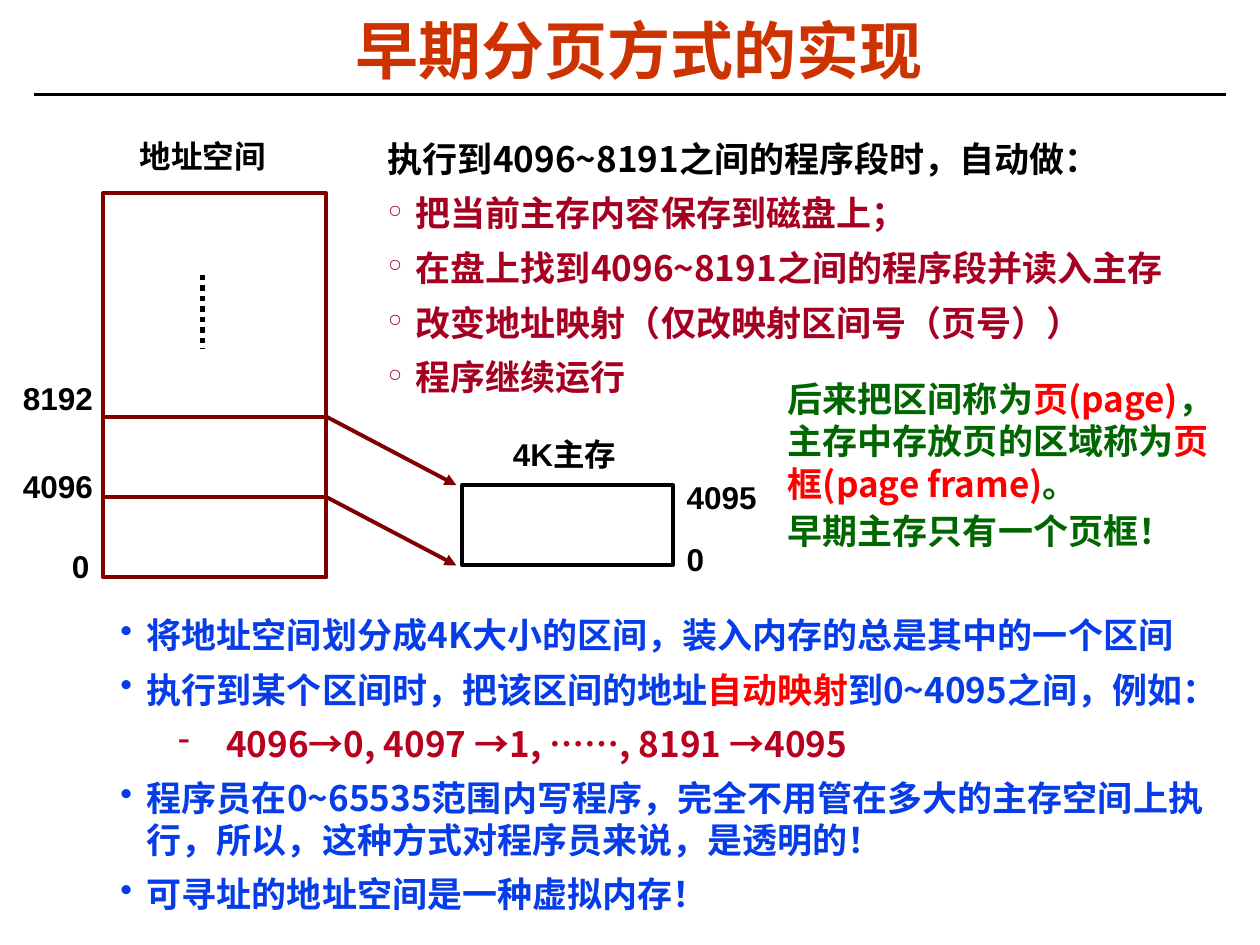
from lxml import etree
from pptx import Presentation
from pptx.dml.color import RGBColor
from pptx.enum import dml, shapes, text
from pptx.oxml import ns
from pptx.util import Cm, Pt

SANS, ARIAL = "Noto Sans CJK SC", "Arial"
BLACK, MAROON, RED = "000000", "800000", "FF0000"
BLUE, GREEN, WINE, ROSE = "063DE8", "006600", "A50021", "B7011F"


def rgb(code):
    return RGBColor.from_string(code)


def style(run, size, face, color):
    font = run.font
    font.size, font.name, font.bold = Pt(size), face, True
    font.color.rgb = rgb(color)
    east = etree.SubElement(run._r.get_or_add_rPr(), ns.qn("a:ea"))
    east.set("typeface", SANS)


def indent(par, left, hang, mark=None):
    """Hanging indent in cm, with an optional bullet character."""
    props = par._p.get_or_add_pPr()
    props.set("marL", str(Cm(left)))
    props.set("indent", str(-Cm(hang)))
    if mark:
        etree.SubElement(props, ns.qn("a:buChar")).set("char", mark)


def write(par, parts, size=20, face=SANS):
    for words, color in parts:
        run = par.add_run()
        run.text = words
        style(run, size, face, color)


def frame(slide, x, y, w, h, inset=True):
    body = slide.shapes.add_textbox(Cm(x), Cm(y), Cm(w), Cm(h)).text_frame
    body.word_wrap = True
    if not inset:
        body.margin_left = body.margin_right = 0
        body.margin_top = body.margin_bottom = 0
    return body


def rows(body, items):
    """Yield a paragraph for each item, reusing the first one."""
    for i, item in enumerate(items):
        yield i, (body.add_paragraph() if i else body.paragraphs[0]), item


def label(slide, x, y, w, words):
    body = frame(slide, x, y, w, 0.76, inset=False)
    write(body.paragraphs[0], [(words, BLACK)], 18, ARIAL)


def line(slide, x1, y1, x2, y2, color, width=2.25, arrow=False):
    wire = slide.shapes.add_connector(
        shapes.MSO_CONNECTOR.STRAIGHT, Cm(x1), Cm(y1), Cm(x2), Cm(y2))
    wire.line.color.rgb = rgb(color)
    wire.line.width = Pt(width)
    if arrow:
        tail = etree.SubElement(wire.line._get_or_add_ln(), ns.qn("a:tailEnd"))
        tail.set("type", "triangle")
    etree.SubElement(wire._element.spPr, ns.qn("a:effectLst"))
    return wire


def block(slide, x, y, w, h, color):
    box = slide.shapes.add_shape(
        shapes.MSO_SHAPE.RECTANGLE, Cm(x), Cm(y), Cm(w), Cm(h))
    box.shadow.inherit = False
    box.fill.solid()
    box.fill.fore_color.rgb = rgb("FFFFFF")
    box.line.color.rgb = rgb(color)
    box.line.width = Pt(2.25)


def heading(slide, x, y, w, h):
    title = slide.shapes.title
    title.left, title.top, title.width, title.height = map(Cm, (x, y, w, h))
    body = title.text_frame
    body.text = "早期分页方式的实现"
    body.vertical_anchor = text.MSO_ANCHOR.MIDDLE
    par = body.paragraphs[0]
    par.alignment = text.PP_ALIGN.CENTER
    par.line_spacing = 0.87
    style(par.runs[0], 36, ARIAL, "CC3300")
    line(slide, 0.69, 1.9, 24.71, 1.9, BLACK, 1.5)


def space(slide, x, y, w, h, page):
    """Address space whose lowest two pages are ruled off."""
    block(slide, x, y, w, h, MAROON)
    label(slide, x + 0.74, y - 1.12, 5.26, "地址空间")
    base = y + h
    for n in (1, 2):
        line(slide, x, base - n * page, x + w, base - n * page, MAROON)
    dots = line(slide, x + 2, y + 1.65, x + 2, y + 3.15, BLACK, 3)
    dots.line.dash_style = dml.MSO_LINE.ROUND_DOT
    label(slide, x - 0.63, base - 0.62, 0.6, "0")
    label(slide, x - 1.62, base - page - 0.61, 1.5, "4096")
    label(slide, x - 1.62, base - 2 * page - 0.76, 1.6, "8192")


def memory(slide, x, y, w, h):
    block(slide, x, y, w, h, BLACK)
    label(slide, x + 1.02, y - 1.02, 2.87, "4K主存")
    label(slide, x + w + 0.28, y - 0.15, 1.88, "4095")
    label(slide, x + w + 0.28, y + h - 0.51, 1.12, "0")


def mapping(slide):
    """Both diagrams, with arrows from page edges to memory edges."""
    x, y, w, h, page = 2.08, 3.89, 4.5, 7.75, 1.62
    left, top = 9.32, 9.78
    space(slide, x, y, w, h, page)
    memory(slide, left, top, 4.24, page)
    for n in (1, 2):
        line(slide, x + w, y + h - n * page,
             left - 0.12, top + (2 - n) * page, MAROON, arrow=True)


def steps(slide, x, y, w, h):
    items = [
        "执行到4096~8191之间的程序段时，自动做：",
        "把当前主存内容保存到磁盘上；",
        "在盘上找到4096~8191之间的程序段并读入主存",
        "改变地址映射（仅改映射区间号（页号））",
        "程序继续运行",
    ]
    for i, par, words in rows(frame(slide, x, y, w, h), items):
        par.line_spacing = 1.3
        indent(par, 0.56, 0.56, "°" if i else None)
        write(par, [(words, WINE if i else BLACK)])


def note(slide, x, y, w, h):
    items = [
        [("后来把区间称为", GREEN), ("页(page)", RED),
         ("，主存中存放页的区域称为", GREEN), ("页框(page frame)", RED),
         ("。", GREEN)],
        [("早期主存只有一个页框！", GREEN)],
    ]
    for i, par, parts in rows(frame(slide, x, y, w, h, inset=False), items):
        par.space_before = Pt(3 if i else 0)
        write(par, parts)


def points(slide, x, y, w, h):
    main, sub = (1.9, 0.53, "•"), (3.5, 0.97, "-")
    items = [
        (main, [("将地址空间划分成4K大小的区间，装入内存的总是其中的一个区间", BLUE)]),
        (main, [("执行到某个区间时，把该区间的地址", BLUE), ("自动映射", RED),
                ("到0~4095之间，例如：", BLUE)]),
        (sub, [("4096→0, 4097 →1, ……, 8191 →4095", ROSE)]),
        (main, [("程序员在0~65535范围内写程序，完全不用管在多大的主存空间上"
                 "执行，所以，这种方式对程序员来说，是透明的！", BLUE)]),
        (main, [("可寻址的地址空间是一种虚拟内存！", BLUE)]),
    ]
    for i, par, (level, parts) in rows(frame(slide, x, y, w, h), items):
        par.space_before = Pt(7 if i else 0)
        indent(par, *level)
        write(par, parts)


def main():
    deck = Presentation()
    deck.slide_width, deck.slide_height = Cm(25.4), Cm(19.05)
    slide = deck.slides.add_slide(deck.slide_layouts[5])
    heading(slide, 0.66, 0.36, 24.46, 1.47)
    mapping(slide)
    steps(slide, 7.57, 2.39, 16.87, 7.14)
    note(slide, 15.88, 7.62, 8.99, 3.51)
    points(slide, 0.81, 12.25, 23.9, 6.5)
    deck.save("out.pptx")


if __name__ == "__main__":
    main()
